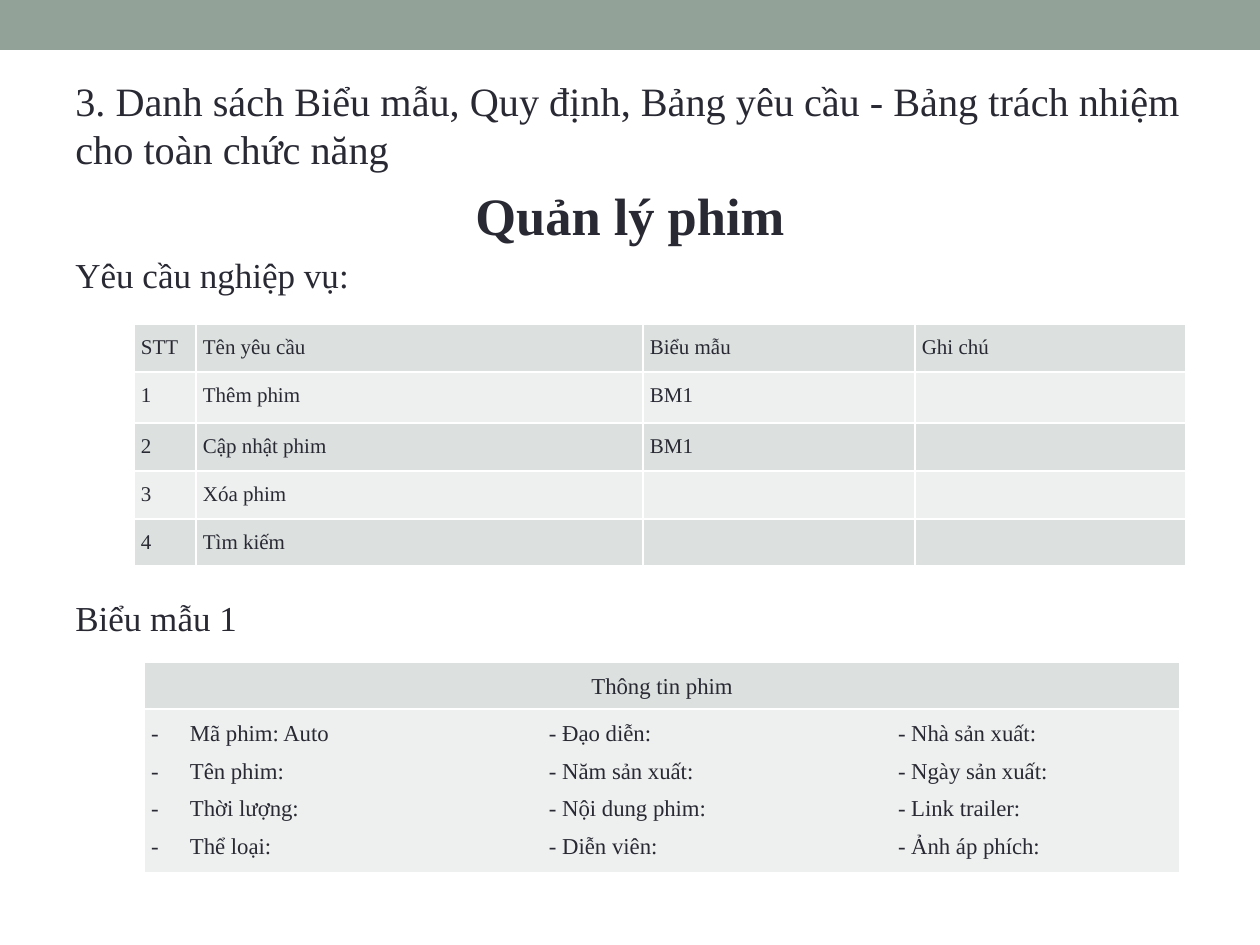
from lxml import etree
from pptx import Presentation
from pptx.dml.color import RGBColor
from pptx.enum.shapes import MSO_SHAPE
from pptx.enum.text import PP_ALIGN
from pptx.oxml.ns import qn
from pptx.util import Pt

RECTANGLE = MSO_SHAPE.RECTANGLE
LEFT, CENTER, JUSTIFY = PP_ALIGN.LEFT, PP_ALIGN.CENTER, PP_ALIGN.JUSTIFY
EMU_PER_PX = 914400 / 126
FONT = "Times New Roman"
INK, GREEN, WHITE = "292934", "93A299", "FFFFFF"
BANDS = ("DCE0DE", "EEF0EF")

# text, size, bold, alignment, space before
BODY = [
    ("3. Danh sách Biểu mẫu, Quy định, Bảng yêu cầu - Bảng trách nhiệm cho toàn chức năng",
     23, False, LEFT, 0),
    ("Quản lý phim", 30, True, CENTER, 6),
    ("Yêu cầu nghiệp vụ:", 20, False, LEFT, 4),
    ("Biểu mẫu 1", 20, False, LEFT, 172),
]
REQUIREMENTS = [
    ["STT", "Tên yêu cầu", "Biểu mẫu", "Ghi chú"],
    ["1", "Thêm phim", "BM1", ""],
    ["2", "Cập nhật phim", "BM1", ""],
    ["3", "Xóa phim", "", ""],
    ["4", "Tìm kiếm", "", ""],
]
FILM_FIELDS = [
    ("Mã phim: Auto", "- Đạo diễn:", "- Nhà sản xuất:"),
    ("Tên phim:", "- Năm sản xuất:", "- Ngày sản xuất:"),
    ("Thời lượng:", "- Nội dung phim:", "- Link trailer:"),
    ("Thể loại:", "- Diễn viên:", "- Ảnh áp phích:"),
]
FIELD_INDENT = 39
FIELD_TABS = (398, 747)


def px(length):
    return round(length * EMU_PER_PX)


def color(value):
    return RGBColor.from_string(value)


def format_paragraph(paragraph, size, alignment, bold=False):
    paragraph.alignment = alignment
    for run in paragraph.runs:
        run.font.name = FONT
        run.font.size = Pt(size)
        run.font.bold = bold
        run.font.color.rgb = color(INK)


def add_band(slide, left, top, width, height):
    band = slide.shapes.add_shape(RECTANGLE, px(left), px(top), px(width), px(height))
    band.shadow.inherit = False
    band.fill.solid()
    band.fill.fore_color.rgb = color(GREEN)
    band.line.fill.background()


def add_body(slide, left, top, width, height):
    text_frame = slide.shapes.add_textbox(px(left), px(top), px(width), px(height)).text_frame
    text_frame.word_wrap = True
    text_frame.text = "\n".join(entry[0] for entry in BODY)
    for paragraph, (_, size, bold, alignment, space) in zip(text_frame.paragraphs, BODY):
        format_paragraph(paragraph, size, alignment, bold)
        paragraph.space_before = Pt(space)


def set_borders(cell):
    properties = cell._tc.get_or_add_tcPr()
    for side in ("lnL", "lnR", "lnT", "lnB"):
        line = etree.SubElement(properties, qn("a:" + side), w=str(Pt(1)))
        fill = etree.SubElement(line, qn("a:solidFill"))
        etree.SubElement(fill, qn("a:srgbClr"), val=WHITE)


def add_table(slide, left, top, columns, rows, texts, size, alignment):
    table = slide.shapes.add_table(len(rows), len(columns), px(left), px(top),
                                   px(sum(columns)), px(sum(rows))).table
    table.first_row = table.horz_banding = False
    for column, width in zip(table.columns, columns):
        column.width = px(width)
    for index, height in enumerate(rows):
        table.rows[index].height = px(height)
        for cell, text in zip(table.rows[index].cells, texts[index]):
            cell.margin_left = cell.margin_right = px(7)
            cell.margin_top = cell.margin_bottom = 0
            set_borders(cell)
            cell.fill.solid()
            cell.fill.fore_color.rgb = color(BANDS[index % 2])
            if text:
                cell.text_frame.text = text
                for paragraph in cell.text_frame.paragraphs:
                    format_paragraph(paragraph, size, alignment)
                    paragraph.line_spacing = 1.5
    return table


def add_dash_and_tabs(paragraph):
    properties = paragraph._p.get_or_add_pPr()
    properties.set("marL", str(px(FIELD_INDENT)))
    properties.set("indent", str(-px(FIELD_INDENT)))
    etree.SubElement(properties, qn("a:buFont"), typeface=FONT)
    etree.SubElement(properties, qn("a:buChar"), char="-")
    tabs = etree.SubElement(properties, qn("a:tabLst"))
    for position in FIELD_TABS:
        etree.SubElement(tabs, qn("a:tab"), pos=str(px(position)), algn="l")


def main():
    presentation = Presentation()
    presentation.slide_width, presentation.slide_height = px(1260), px(945)
    slide = presentation.slides.add_slide(presentation.slide_layouts[6])

    # Top band and headings
    add_band(slide, 0, 0, 1260, 50)
    add_body(slide, 63, 70, 1134, 822)

    # Business requirements
    add_table(slide, 134, 324, [62, 447, 272, 271], [48, 51, 48, 48, 47],
              REQUIREMENTS, 12, JUSTIFY)

    # Film form: a title row above the tabbed fields
    fields = "\n".join("\t".join(row) for row in FILM_FIELDS)
    form = add_table(slide, 144, 662, [1036], [47, 149],
                     [["Thông tin phim"], [fields]], 13, CENTER)
    for paragraph in form.cell(1, 0).text_frame.paragraphs:
        paragraph.alignment = JUSTIFY
        add_dash_and_tabs(paragraph)

    presentation.save("out.pptx")


if __name__ == "__main__":
    main()
